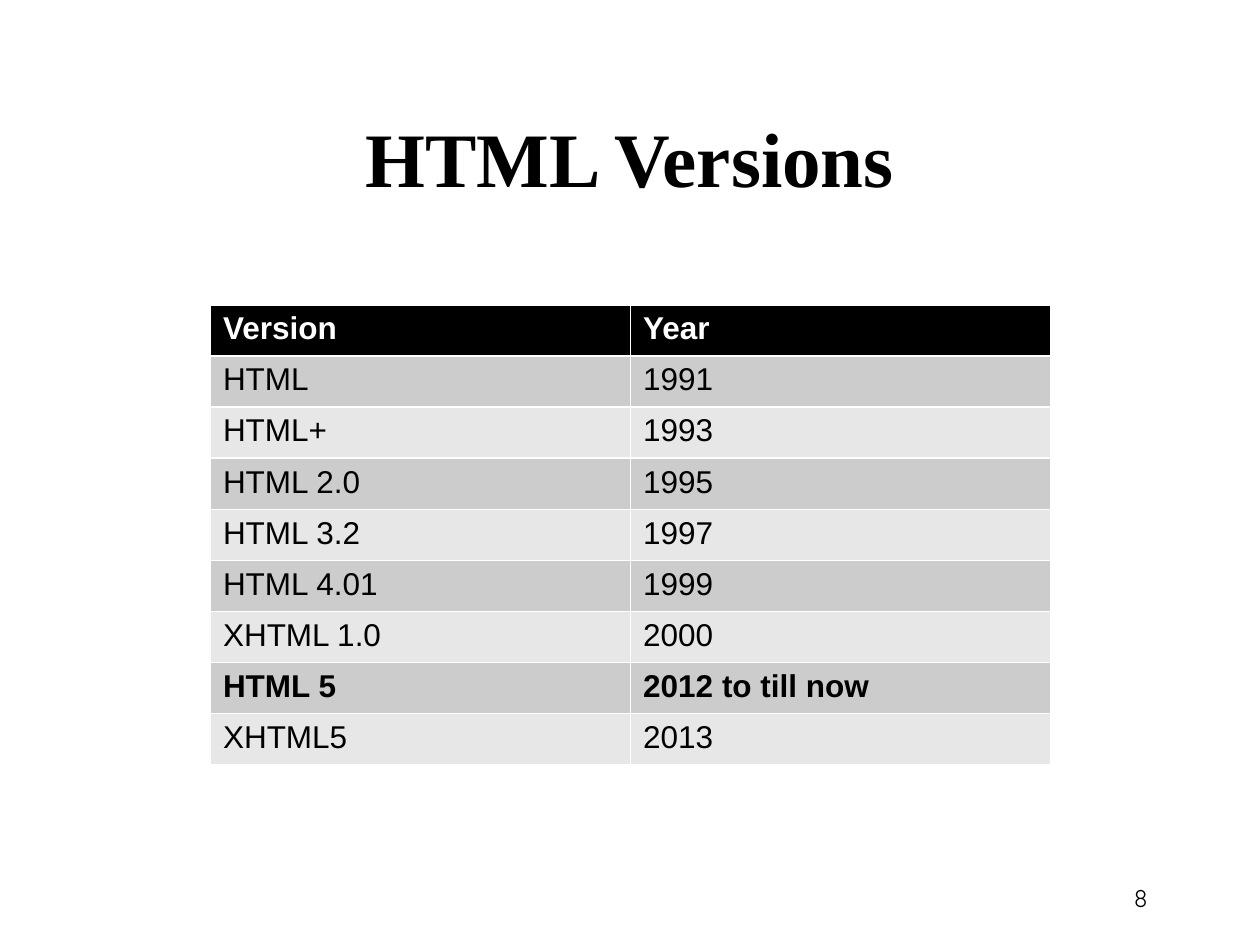
from typing import NamedTuple

from pptx import Presentation
from pptx.dml.color import RGBColor
from pptx.enum.text import MSO_ANCHOR, PP_ALIGN
from pptx.util import Inches, Pt

BLACK = RGBColor(0x00, 0x00, 0x00)
WHITE = RGBColor(0xFF, 0xFF, 0xFF)
DARK_BAND = RGBColor(0xCC, 0xCC, 0xCC)
LIGHT_BAND = RGBColor(0xE7, 0xE7, 0xE7)


class Release(NamedTuple):
    version: str
    year: str
    bold: bool = False


RELEASES = [
    Release("HTML", "1991"),
    Release("HTML+", "1993"),
    Release("HTML 2.0", "1995"),
    Release("HTML 3.2", "1997"),
    Release("HTML 4.01", "1999"),
    Release("XHTML 1.0", "2000"),
    Release("HTML 5", "2012 to till now", bold=True),
    Release("XHTML5", "2013"),
]


def style_font(paragraph, name: str, size: int, color: RGBColor, bold: bool = False) -> None:
    font = paragraph.font
    font.name, font.size, font.bold = name, Pt(size), bold
    font.color.rgb = color


def fill_row(table, row: int, texts: tuple[str, str], fill: RGBColor,
             color: RGBColor, bold: bool) -> None:
    for column, text in enumerate(texts):
        cell = table.cell(row, column)
        cell.text = text
        cell.fill.solid()
        cell.fill.fore_color.rgb = fill
        style_font(cell.text_frame.paragraphs[0], "Arial", 18, color, bold)


def add_title(slide, text: str) -> None:
    title = slide.shapes.title
    title.left, title.top = Inches(0.5), Inches(0.83)
    title.width, title.height = Inches(9), Inches(0.83)
    title.text_frame.text = text
    title.text_frame.vertical_anchor = MSO_ANCHOR.MIDDLE
    heading = title.text_frame.paragraphs[0]
    heading.alignment = PP_ALIGN.CENTER
    style_font(heading, "Times New Roman", 44, BLACK, bold=True)


def add_version_table(slide) -> None:
    row_count = len(RELEASES) + 1
    table = slide.shapes.add_table(
        row_count, 2, Inches(1.67), Inches(2.42), Inches(6.67), Inches(3.65)
    ).table
    fill_row(table, 0, ("Version", "Year"), BLACK, WHITE, bold=True)
    for row, release in enumerate(RELEASES, start=1):
        band = DARK_BAND if row % 2 else LIGHT_BAND
        fill_row(table, row, (release.version, release.year), band, BLACK, release.bold)


def add_page_number(slide, number: str) -> None:
    frame = slide.shapes.add_textbox(
        Inches(8.9), Inches(6.76), Inches(0.55), Inches(0.61)
    ).text_frame
    frame.word_wrap = True
    frame.vertical_anchor = MSO_ANCHOR.MIDDLE
    frame.text = number
    page = frame.paragraphs[0]
    page.line_spacing = 1.5
    style_font(page, "Quicksand", 14, BLACK)


def main() -> None:
    prs = Presentation()
    prs.slide_width, prs.slide_height = Inches(10), Inches(7.5)
    slide = prs.slides.add_slide(prs.slide_layouts[5])  # title only

    add_page_number(slide, "8")
    add_title(slide, "HTML Versions")
    add_version_table(slide)

    prs.save("out.pptx")


if __name__ == "__main__":
    main()
